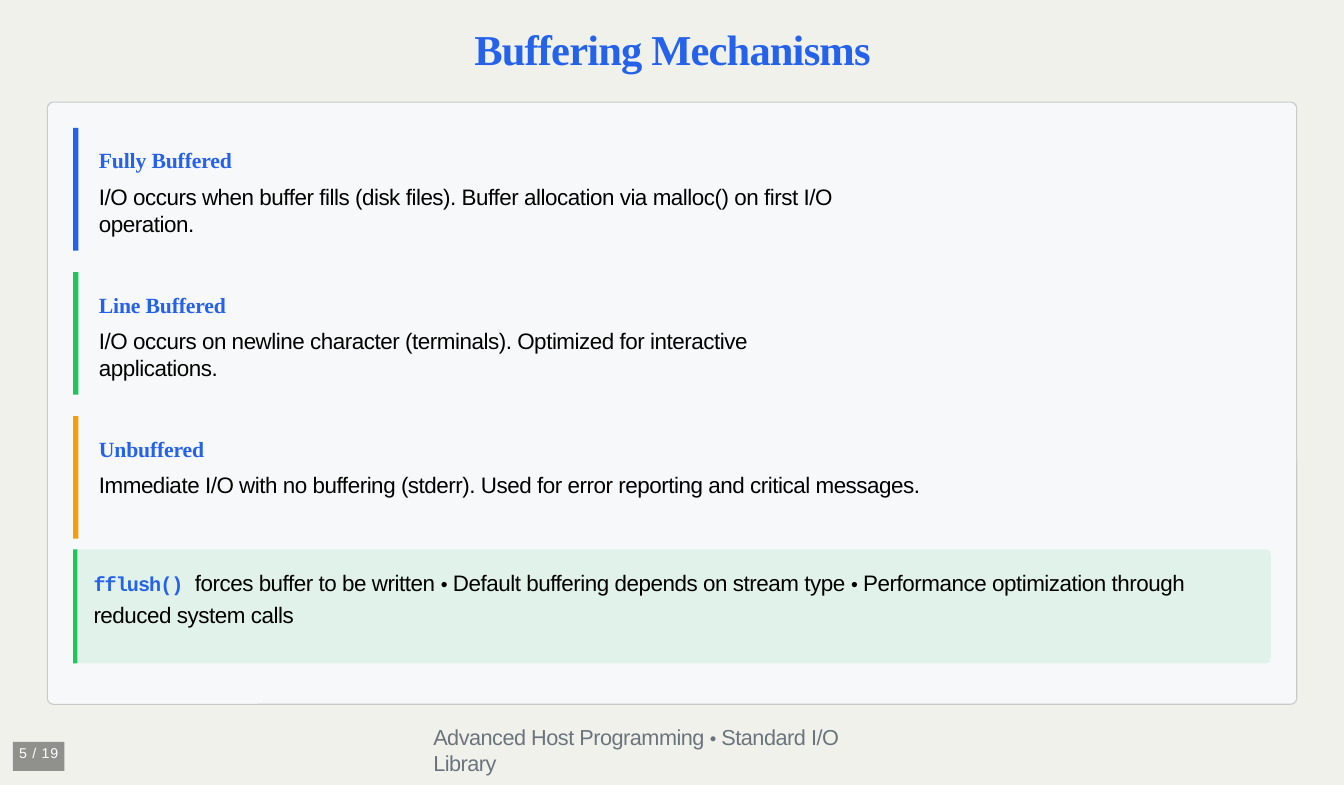
from lxml.etree import SubElement
from pptx import Presentation
from pptx.dml.color import RGBColor
from pptx.enum.shapes import MSO_SHAPE
from pptx.enum.text import MSO_ANCHOR, PP_ALIGN
from pptx.oxml.ns import qn
from pptx.util import Inches, Pt

PAPER = RGBColor(0xF0, 0xF1, 0xEB)
CARD = RGBColor(0xF7, 0xF9, 0xFA)
EDGE = RGBColor(0xC8, 0xCB, 0xCA)
BLUE = RGBColor(0x25, 0x62, 0xEB)
GREEN = RGBColor(0x21, 0xC4, 0x5D)
AMBER = RGBColor(0xF5, 0x9D, 0x0A)
GREY = RGBColor(0x6B, 0x74, 0x7D)
BLACK = RGBColor(0, 0, 0)
WHITE = RGBColor(0xFF, 0xFF, 0xFF)

FORMATS = {
    "title": ({"name": "Times New Roman", "size": Pt(28.5), "bold": True}, BLUE, -55),
    "heading": ({"name": "Times New Roman", "size": Pt(14.5), "bold": True}, BLUE, -10),
    "body": ({"name": "Arial", "size": Pt(15), "bold": False}, BLACK, -30),
    "dot": ({"name": "Arial", "size": Pt(13), "bold": False}, BLACK, 0),
    "code": ({"name": "Courier New", "size": Pt(13.5), "bold": True}, BLUE, -60),
    "footer": ({"name": "Arial", "size": Pt(14.5), "bold": False}, GREY, -35),
    "footer dot": ({"name": "Arial", "size": Pt(12.5), "bold": False}, GREY, 0),
    "page": ({"name": "Arial", "size": Pt(9.5), "bold": False}, WHITE, 50),
}

prs = Presentation()
prs.slide_width, prs.slide_height = Inches(12.5), Inches(7.3)
COL, ROW = prs.slide_width // 125, prs.slide_height // 73


def cells(x, y, w, h):
    return int(x * COL), int(y * ROW), int(w * COL), int(h * ROW)


def write(tf, paragraphs, align=PP_ALIGN.LEFT, spacing=1.0):
    frame = {"margin_left": 0, "margin_top": 0, "margin_right": 0, "margin_bottom": 0,
             "word_wrap": True, "vertical_anchor": MSO_ANCHOR.TOP}
    for name, value in frame.items():
        setattr(tf, name, value)
    for i, runs in enumerate(paragraphs):
        p = tf.add_paragraph() if i else tf.paragraphs[0]
        p.alignment, p.line_spacing, p.space_before = align, spacing, Pt(6.5 * i)
        for style, text in runs:
            font, color, tracking = FORMATS[style]
            r = p.add_run()
            r.text = text
            for name, value in font.items():
                setattr(r.font, name, value)
            r.font.color.rgb = color
            r.font._element.set("spc", str(tracking))


s = prs.slides.add_slide(prs.slide_layouts[5])
s.background.fill.solid()
s.background.fill.fore_color.rgb = PAPER

title = s.shapes.title
title.left, title.top, title.width, title.height = cells(26.7, 2.1, 71.7, 5)
write(title.text_frame, [[("title", "Buffering Mechanisms")]], PP_ALIGN.CENTER)

card = s.shapes.add_shape(MSO_SHAPE.ROUNDED_RECTANGLE, *cells(4.4, 9.5, 116.2, 56))
card.adjustments[0] = 0.01
painted = [(card, CARD, 95)]

modes = [
    ("Fully Buffered", "I/O occurs when buffer fills (disk files). "
     "Buffer allocation via malloc() on first I/O operation.", BLUE, 70),
    ("Line Buffered", "I/O occurs on newline character (terminals). "
     "Optimized for interactive applications.", GREEN, 70),
    ("Unbuffered", "Immediate I/O with no buffering (stderr). "
     "Used for error reporting and critical messages.", AMBER, 106),
]
panels = [(11.9 + 13.4 * i, 11.4, CARD, 95, mode[2], 0.5) for i, mode in enumerate(modes)]
panels.append((51.1, 10.6, GREEN, 10, GREEN, 0.4))

for top, height, tint, alpha, accent, thickness in panels:
    left, y, width, h = cells(7, top, 111.2, height)
    right, bottom, cut = left + width, y + h, COL // 2
    outline = s.shapes.build_freeform(left, y, scale=1.0)
    outline.add_line_segments([
        (right - cut, y), (right - cut // 4, y + cut // 4), (right, y + cut),
        (right, bottom - cut), (right - cut // 4, bottom - cut // 4),
        (right - cut, bottom), (left, bottom)], close=True)
    painted.append((outline.convert_to_shape(), tint, alpha))
    bar = s.shapes.add_shape(MSO_SHAPE.RECTANGLE, *cells(6.8, top, thickness, height))
    painted.append((bar, accent, 100))

badge = s.shapes.add_shape(MSO_SHAPE.RECTANGLE, *cells(1.2, 69, 4.8, 2.7))
painted.append((badge, BLACK, 40))

for sp, color, alpha in painted:
    sp.shadow.inherit = False
    sp.fill.solid()
    sp.fill.fore_color.rgb = color
    sp.line.fill.background()
    if alpha < 100:
        clr = sp._element.spPr.find(qn("a:solidFill"))[0]
        SubElement(clr, qn("a:alpha")).set("val", str(alpha * 1000))
card.line.color.rgb = EDGE
card.line.width = Pt(0.75)

for (top, *_), (heading, text, _, width) in zip(panels, modes):
    tb = s.shapes.add_textbox(*cells(9.2, top + 1.8, width, 7))
    write(tb.text_frame, [[("heading", heading)], [("body", text)]])

note = s.shapes.add_textbox(*cells(8.7, 52.4, 106, 6))
write(note.text_frame, [[
    ("code", "fflush() "), ("body", "forces buffer to be written "), ("dot", "• "),
    ("body", "Default buffering depends on stream type "), ("dot", "• "),
    ("body", "Performance optimization through reduced system calls")]], spacing=1.2)

footer = s.shapes.add_textbox(*cells(40.3, 67.3, 42, 5))
write(footer.text_frame, [[
    ("footer", "Advanced Host Programming "), ("footer dot", "• "),
    ("footer", "Standard I/O Library")]])

write(badge.text_frame, [[("page", "5 / 19")]], PP_ALIGN.CENTER)
badge.text_frame.margin_top = ROW // 4

prs.save("out.pptx")
